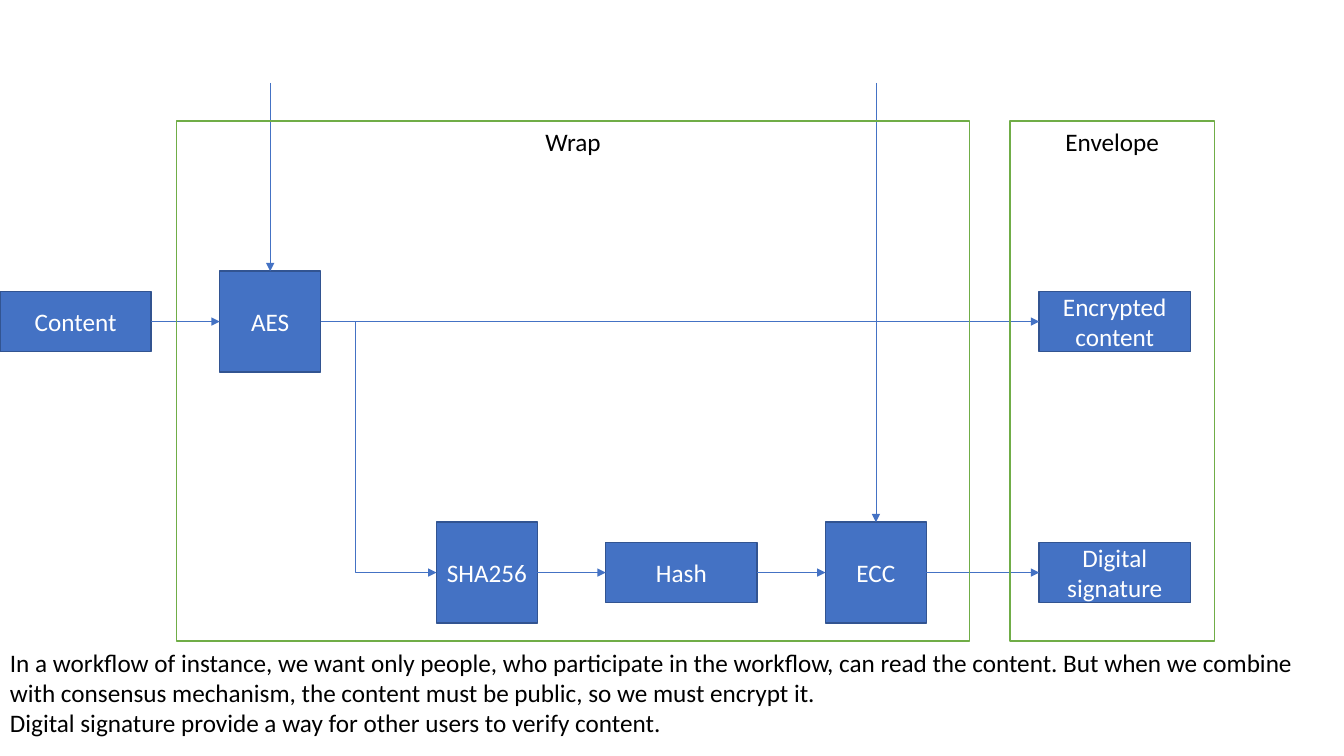
from pptx import Presentation
from pptx.dml.color import RGBColor
from pptx.enum.shapes import MSO_CONNECTOR, MSO_SHAPE
from pptx.enum.text import MSO_ANCHOR, MSO_AUTO_SIZE, PP_ALIGN
from pptx.oxml.ns import qn
from pptx.util import Pt
from lxml import etree

RECTANGLE = MSO_SHAPE.RECTANGLE
STRAIGHT, ELBOW = MSO_CONNECTOR.STRAIGHT, MSO_CONNECTOR.ELBOW
TOP, MIDDLE = MSO_ANCHOR.TOP, MSO_ANCHOR.MIDDLE
LEFT, CENTER = PP_ALIGN.LEFT, PP_ALIGN.CENTER
FIT_SHAPE = MSO_AUTO_SIZE.SHAPE_TO_FIT_TEXT

BLUE = RGBColor(0x44, 0x72, 0xC4)
DARK_BLUE = RGBColor(0x32, 0x54, 0x91)
GREEN = RGBColor(0x70, 0xAD, 0x47)
WHITE = RGBColor(0xFF, 0xFF, 0xFF)
BLACK = RGBColor(0, 0, 0)

# Connection sites of a rectangle
SITE_TOP, SITE_LEFT, SITE_RIGHT = 0, 1, 3


class Diagram:
    font = "Calibri"
    size = Pt(18)

    def __init__(self, page):
        self.shapes = page.shapes

    def style_text(self, frame, color, align, anchor):
        frame.word_wrap = True
        frame.vertical_anchor = anchor
        for para in frame.paragraphs:
            para.alignment = align
            for span in para.runs:
                span.font.name = self.font
                span.font.size = self.size
                span.font.color.rgb = color

    def rectangle(self, text, left, top, width, height, line_color):
        box = self.shapes.add_shape(RECTANGLE, Pt(left), Pt(top), Pt(width), Pt(height))
        box.shadow.inherit = False
        box.line.color.rgb = line_color
        box.line.width = Pt(1)
        box.text_frame.text = text
        return box

    def step(self, text, left, middle, width, height):
        box = self.rectangle(text, left, middle - height / 2, width, height, DARK_BLUE)
        box.fill.solid()
        box.fill.fore_color.rgb = BLUE
        self.style_text(box.text_frame, WHITE, CENTER, MIDDLE)
        return box

    def data(self, text, left, middle):
        return self.step(text, left, middle, 108, 43.2)

    def process(self, text, left, middle):
        return self.step(text, left, middle, 72, 72)

    def frame(self, text, left, width):
        box = self.rectangle(text, left, 86.4, width, 371.5, GREEN)
        box.fill.background()
        self.style_text(box.text_frame, BLACK, CENTER, TOP)

    def connector(self, kind, left, top, right, bottom):
        link = self.shapes.add_connector(kind, Pt(left), Pt(top), Pt(right), Pt(bottom))
        link.line.color.rgb = BLUE
        link.line.width = Pt(0.5)
        etree.SubElement(link.line._get_or_add_ln(), qn("a:tailEnd"), type="triangle")
        etree.SubElement(link._element.spPr, qn("a:effectLst"))
        return link

    def arrow(self, source, target):
        link = self.connector(STRAIGHT, 0, 0, 0, 0)
        link.begin_connect(source, SITE_RIGHT)
        link.end_connect(target, SITE_LEFT)

    def input_arrow(self, target, top):
        center = (target.left + target.width / 2) / Pt(1)
        link = self.connector(STRAIGHT, center, top, center, target.top / Pt(1))
        link.end_connect(target, SITE_TOP)

    def down_then_right(self, left, top, right, bottom):
        """One-bend elbow, turned a quarter left and mirrored."""
        run, drop = right - left, bottom - top
        x, y = (left + right - drop) / 2, (top + bottom - run) / 2
        link = self.connector(ELBOW, x, y, x + drop, y + run)
        properties = link._element.spPr
        properties.find(qn("a:prstGeom")).set("prst", "bentConnector2")
        turn = properties.find(qn("a:xfrm"))
        turn.set("rot", str(270 * 60000))
        turn.set("flipH", "1")

    def note(self, text, left, top, width, height):
        box = self.shapes.add_textbox(Pt(left), Pt(top), Pt(width), Pt(height))
        box.text_frame.text = text
        self.style_text(box.text_frame, BLACK, LEFT, TOP)
        box.text_frame.auto_size = FIT_SHAPE


deck = Presentation()
deck.slide_width, deck.slide_height = Pt(960), Pt(540)
diagram = Diagram(deck.slides.add_slide(deck.slide_layouts[6]))

# Centre lines of the two rows, and the left edge of the envelope contents
ENCRYPT_ROW, SIGN_ROW = 229.7, 409
ENVELOPE_LEFT = 742.3

# Encryption row
content = diagram.data("Content", 0, ENCRYPT_ROW)
aes = diagram.process("AES", 157, ENCRYPT_ROW)
encrypted = diagram.data("Encrypted content", ENVELOPE_LEFT, ENCRYPT_ROW)

# Signature row
sha = diagram.process("SHA256", 311.8, SIGN_ROW)
digest = diagram.data("Hash", 432.7, SIGN_ROW)
ecc = diagram.process("ECC", 589.7, SIGN_ROW)
signature = diagram.data("Digital signature", ENVELOPE_LEFT, SIGN_ROW)

# Flow along each row
for row in ((content, aes, encrypted), (sha, digest, ecc, signature)):
    for source, target in zip(row, row[1:]):
        diagram.arrow(source, target)

# Inputs from above and the branch to hashing
for cipher in (aes, ecc):
    diagram.input_arrow(cipher, 59.2)
diagram.down_then_right(254, ENCRYPT_ROW, 311.8, SIGN_ROW)

# Enclosing frames
diagram.frame("Wrap", 126, 566.6)
diagram.frame("Envelope", 721.4, 146.2)

# Explanation
diagram.note(
    "In a workflow of instance, we want only people, who participate in the workflow, "
    "can read the content. But when we combine with consensus mechanism, the content "
    "must be public, so we must encrypt it.\n"
    "Digital signature provide a way for other users to verify content.",
    0, 458.6, 960, 72.7)

deck.save("out.pptx")
